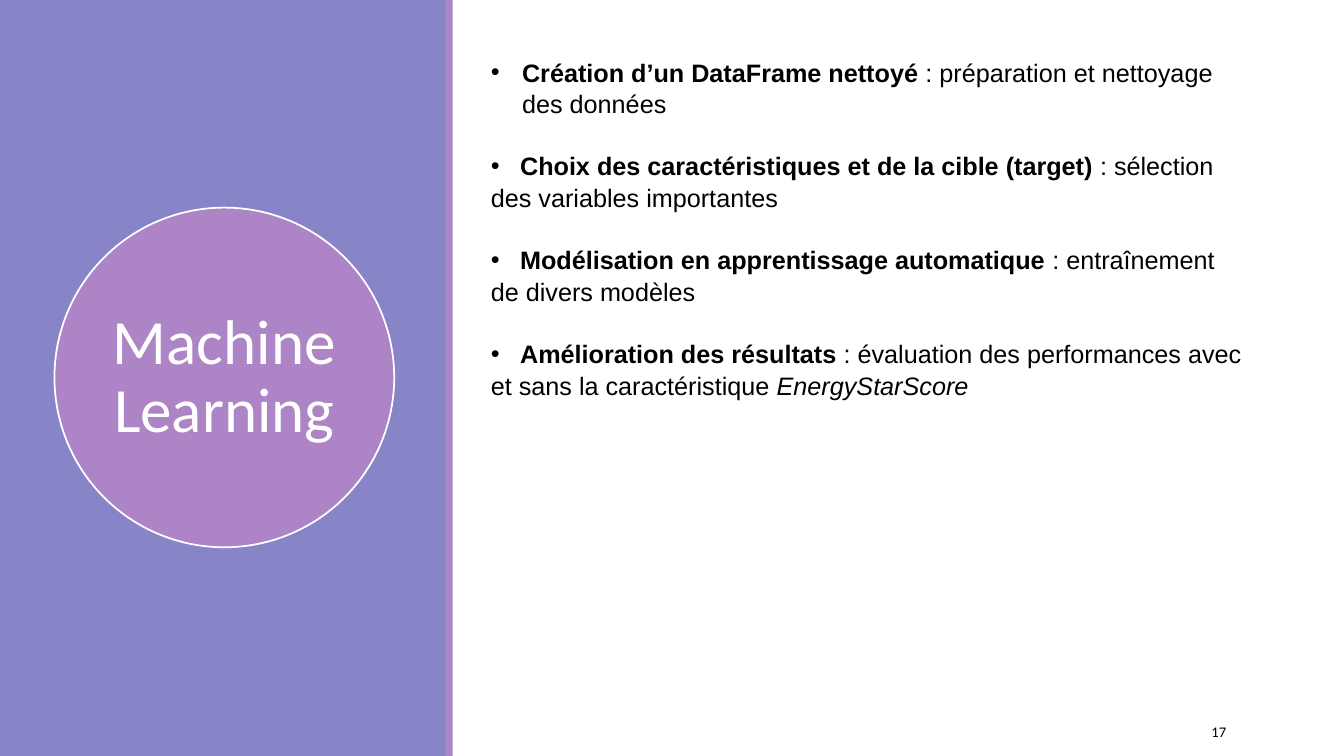
import pptx
import pptx.dml.color
import pptx.enum.shapes
import pptx.enum.text
import pptx.oxml
import pptx.oxml.ns
import pptx.util
from dataclasses import dataclass

Inches = pptx.util.Inches
Pt = pptx.util.Pt
Shapes = pptx.enum.shapes.MSO_SHAPE
Align = pptx.enum.text.PP_ALIGN
Anchor = pptx.enum.text.MSO_ANCHOR


@dataclass
class Theme:
    panel: str = "8784C7"
    accent: str = "AD84C6"
    light: str = "FFFFFF"
    dark: str = "000000"
    body_font: str = "Arial"
    title_font: str = "Calibri"
    title_size: float = 45
    body_size: float = 18
    number_size: float = 10.5


@dataclass
class Step:
    """A bullet: bold name, plain explanation and an optional italic ending."""
    name: str
    explanation: str
    ending: str = ""
    hanging: bool = False


STEPS = [
    Step("Création d’un DataFrame nettoyé",
         " : préparation et nettoyage des données", hanging=True),
    Step("Choix des caractéristiques et de la cible (target)",
         " : sélection des variables importantes"),
    Step("Modélisation en apprentissage automatique",
         " : entraînement de divers modèles"),
    Step("Amélioration des résultats",
         " : évaluation des performances avec et sans la caractéristique ",
         "EnergyStarScore"),
]


class SlideBuilder:
    def __init__(self, slide, theme):
        self.slide = slide
        self.theme = theme

    def shape(self, kind, left, top, width, height, fill, line=None):
        shape = self.slide.shapes.add_shape(
            kind, Inches(left), Inches(top), Inches(width), Inches(height))
        shape.shadow.inherit = False
        shape.fill.solid()
        shape.fill.fore_color.rgb = pptx.dml.color.RGBColor.from_string(fill)
        if line:
            shape.line.color.rgb = pptx.dml.color.RGBColor.from_string(line)
            shape.line.width = Pt(1.25)
        else:
            shape.line.fill.background()
        return shape

    def text_frame(self, left, top, width, height, anchor=Anchor.TOP):
        box = self.slide.shapes.add_textbox(
            Inches(left), Inches(top), Inches(width), Inches(height))
        box.text_frame.word_wrap = True
        box.text_frame.vertical_anchor = anchor
        return box.text_frame

    def style(self, font, name, size, color):
        font.name = name
        font.size = Pt(size)
        font.color.rgb = pptx.dml.color.RGBColor.from_string(color)

    def label(self, text_frame, text, size, color, alignment):
        text_frame.text = text
        paragraph = text_frame.paragraphs[0]
        paragraph.alignment = alignment
        self.style(paragraph.runs[0].font, self.theme.title_font, size, color)
        return paragraph

    def bullet(self, paragraph, hanging):
        """Hang the text beside the bullet, or tab only its first line."""
        properties = paragraph._p.get_or_add_pPr()
        indent = Inches(0.31) if hanging else 0
        properties.set("marL", str(indent))
        properties.set("indent", str(-indent))
        namespace = pptx.oxml.ns.nsdecls("a")
        elements = [f'<a:buFont {namespace} typeface="Arial"/>',
                    f'<a:buChar {namespace} char="•"/>']
        if not hanging:
            elements.append(f'<a:tabLst {namespace}>'
                            f'<a:tab pos="{Inches(0.29)}" algn="l"/></a:tabLst>')
        for element in elements:
            properties.append(pptx.oxml.parse_xml(element))

    def steps(self, text_frame, steps):
        for index, step in enumerate(steps):
            paragraph = text_frame.paragraphs[0] if index == 0 else text_frame.add_paragraph()
            paragraph.line_spacing = 1.05
            if index:
                paragraph.space_before = Pt(21.7)
            self.bullet(paragraph, step.hanging)
            name = step.name if step.hanging else "\t" + step.name
            for text, bold, italic in ((name, True, False),
                                       (step.explanation, False, False),
                                       (step.ending, False, True)):
                if text:
                    run = paragraph.add_run()
                    run.text = text
                    self.style(run.font, self.theme.body_font,
                               self.theme.body_size, self.theme.dark)
                    run.font.bold = bold
                    run.font.italic = italic


def main():
    presentation = pptx.Presentation()
    presentation.slide_width = Inches(13.33)
    presentation.slide_height = Inches(7.5)
    theme = Theme()
    slide = presentation.slides.add_slide(presentation.slide_layouts[6])
    builder = SlideBuilder(slide, theme)

    builder.shape(Shapes.RECTANGLE, 0, 0, 4.43, 7.5, theme.panel)
    builder.shape(Shapes.RECTANGLE, 4.42, 0, 0.07, 7.5, theme.accent)
    builder.steps(builder.text_frame(4.77, 0.5, 7.67, 4.04), STEPS)

    builder.shape(Shapes.OVAL, 0.54, 2.06, 3.37, 3.37, theme.accent, theme.light)
    title_frame = builder.text_frame(1.03, 2.56, 2.39, 2.39, Anchor.MIDDLE)
    title_frame.margin_left = title_frame.margin_right = Inches(0.06)
    title_frame.margin_top = title_frame.margin_bottom = Inches(0.06)
    title = builder.label(title_frame, "Machine Learning", theme.title_size,
                          theme.light, Align.CENTER)
    title.line_spacing = 0.9

    builder.label(builder.text_frame(10.83, 7.06, 1.43, 0.4, Anchor.MIDDLE),
                  "17", theme.number_size, theme.dark, Align.RIGHT)
    presentation.save("out.pptx")


if __name__ == "__main__":
    main()
